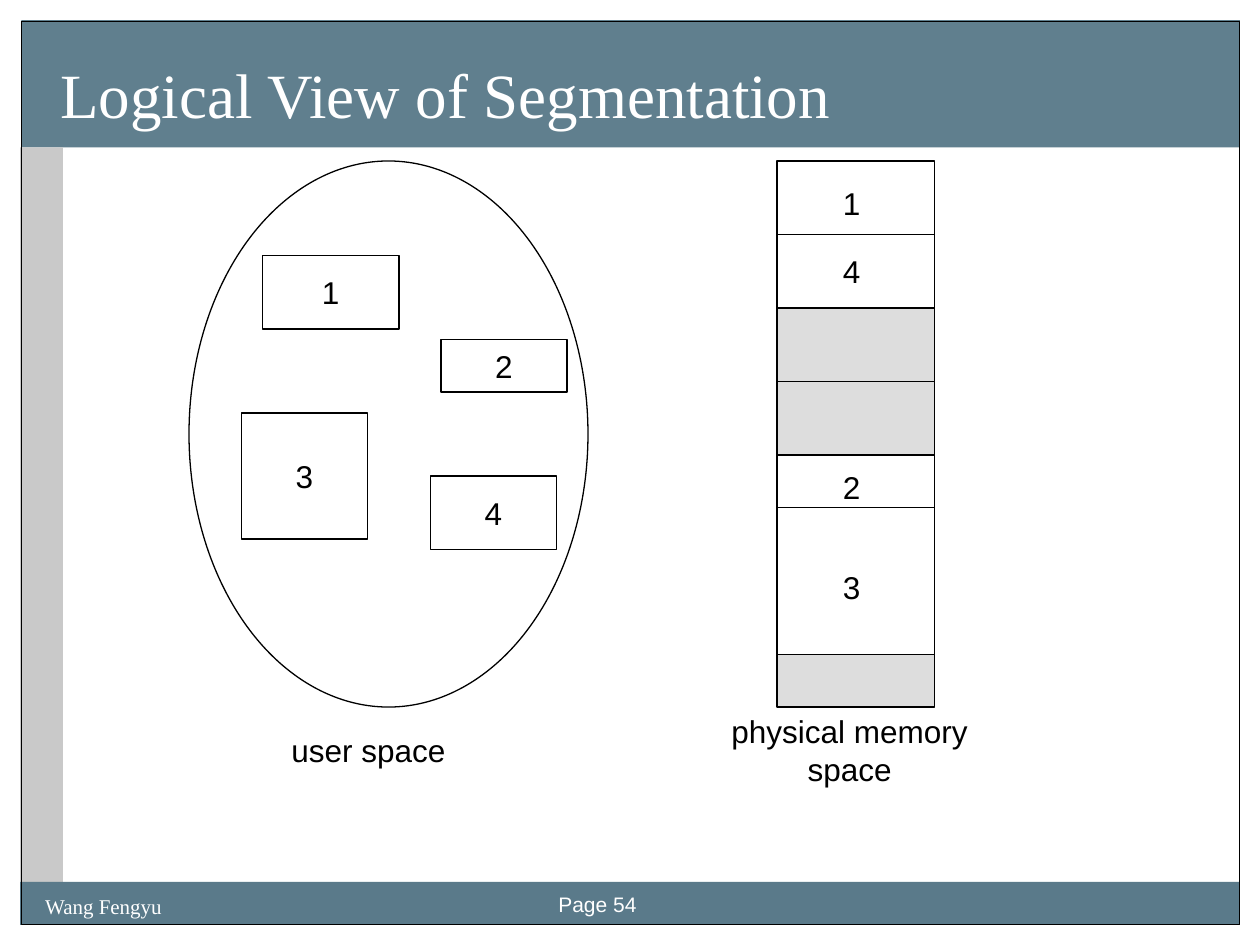
"""Build the slide that shows the logical view of segmentation."""
from dataclasses import dataclass
from itertools import groupby

from lxml.etree import SubElement
from pptx import Presentation
from pptx.dml.color import RGBColor
from pptx.enum.shapes import MSO_CONNECTOR, MSO_SHAPE
from pptx.enum.text import MSO_ANCHOR, MSO_AUTO_SIZE, PP_ALIGN
from pptx.oxml.ns import qn
from pptx.util import Pt


@dataclass(frozen=True)
class Theme:
    band: str = "3E6376"
    strip: str = "C9C9C9"
    used: str = "FFFFFF"
    other: str = "DDDDDD"
    ink: str = "000000"
    light: str = "FFFFFF"
    serif: str = "Times New Roman"
    sans: str = "Arial"
    title_size: float = 36
    label_size: float = 18
    footer_size: float = 12
    line_width: float = 0.75


THEME = Theme()

TITLE = "Logical View of Segmentation"
BANDS = [
    ((12.25, 11.5, 696.25, 72.7), THEME.band, 82),
    ((11.5, 84.2, 24.5, 419.8), THEME.strip, 100),
    ((11.5, 504, 697, 24.5), THEME.band, 85),
]
PAGE_FRAME = (12.25, 12.25, 696.25, 516.25)
FOOTERS = [
    ("Wang Fengyu", (18.75, 507, 120, 19.5), THEME.serif),
    ("Page 54", (312, 506, 108, 19.5), THEME.sans),
]
USER_SPACE = (108, 92, 228, 312)
USER_SEGMENTS = [
    ("1", (150, 146, 78, 42)),
    ("3", (138, 236, 72, 72)),
    ("2", (252, 194, 72, 30)),
    ("4", (246, 272, 72, 42)),
]
MEMORY_LEFT, MEMORY_TOP, MEMORY_WIDTH = 444, 92, 90
MEMORY_BLOCKS = [
    (42, THEME.used),
    (42, THEME.used),
    (42, THEME.other),
    (42, THEME.other),
    (30, THEME.used),
    (84, THEME.used),
    (30, THEME.other),
]
LABELS = [
    ("1", 486.5, 116, 24),
    ("4", 486.5, 155, 24),
    ("2", 486.5, 278, 24),
    ("3", 486.5, 335.5, 24),
    ("user space", 210.5, 428.5, 107),
    ("physical memory space", 485.5, 428.5, 202),
]
LABEL_HEIGHT = 29


def points(box):
    return [Pt(value) for value in box]


def write(frame, words, font, size, color, align):
    paragraph = frame.paragraphs[0]
    paragraph.alignment = align
    run = paragraph.add_run()
    run.text = words
    run.font.name = font
    run.font.size = Pt(size)
    run.font.color.rgb = RGBColor.from_string(color)


def write_label(frame, words):
    frame.word_wrap = False
    frame.vertical_anchor = MSO_ANCHOR.MIDDLE
    write(frame, words, THEME.sans, THEME.label_size, THEME.ink, PP_ALIGN.CENTER)


def outline(line):
    line.color.rgb = RGBColor.from_string(THEME.ink)
    line.width = Pt(THEME.line_width)


def add_figure(slide, box, fill=None, outlined=True, kind=MSO_SHAPE.RECTANGLE):
    figure = slide.shapes.add_shape(kind, *points(box))
    figure.shadow.inherit = False
    if fill:
        figure.fill.solid()
        figure.fill.fore_color.rgb = RGBColor.from_string(fill)
    else:
        figure.fill.background()
    if outlined:
        outline(figure.line)
    else:
        figure.line.fill.background()
    return figure


def add_divider(slide, y):
    ends = points((MEMORY_LEFT, y, MEMORY_LEFT + MEMORY_WIDTH, y))
    divider = slide.shapes.add_connector(MSO_CONNECTOR.STRAIGHT, *ends)
    outline(divider.line)
    SubElement(divider._element.spPr, qn("a:effectLst"))


def add_page(slide):
    for box, fill, opacity in BANDS:
        band = add_figure(slide, box, fill, outlined=False)
        color = band._element.spPr.find(".//" + qn("a:srgbClr"))
        SubElement(color, qn("a:alpha"), val=str(opacity * 1000))
    add_figure(slide, PAGE_FRAME)
    for words, box, font in FOOTERS:
        footer = slide.shapes.add_textbox(*points(box)).text_frame
        footer.word_wrap = True
        write(footer, words, font, THEME.footer_size, THEME.light, PP_ALIGN.LEFT)


def add_title(slide):
    title = slide.shapes.title
    slide.shapes._spTree.append(title._element)
    title.left, title.top, title.width, title.height = points((13, 12.25, 696, 72))
    frame = title.text_frame
    frame.auto_size = MSO_AUTO_SIZE.NONE
    frame.word_wrap = True
    frame.vertical_anchor = MSO_ANCHOR.BOTTOM
    frame.margin_left, frame.margin_top = points((21.6, 3.6))
    frame.margin_right, frame.margin_bottom = points((7.2, 9.36))
    write(frame, TITLE, THEME.serif, THEME.title_size, THEME.light, PP_ALIGN.LEFT)


def add_user_space(slide):
    add_figure(slide, USER_SPACE, THEME.used, kind=MSO_SHAPE.OVAL)
    for words, box in USER_SEGMENTS:
        write_label(add_figure(slide, box, THEME.used).text_frame, words)


def add_memory(slide):
    y = MEMORY_TOP
    for fill, blocks in groupby(MEMORY_BLOCKS, key=lambda block: block[1]):
        heights = [height for height, _ in blocks]
        add_figure(slide, (MEMORY_LEFT, y, MEMORY_WIDTH, sum(heights)), fill)
        for height in heights[:-1]:
            add_divider(slide, y + height)
        y += sum(heights)


def add_labels(slide):
    for words, center, middle, width in LABELS:
        box = (center - width / 2, middle - LABEL_HEIGHT / 2, width, LABEL_HEIGHT)
        write_label(slide.shapes.add_textbox(*points(box)).text_frame, words)


def main():
    deck = Presentation()
    deck.slide_width, deck.slide_height = points((720, 540))
    slide = deck.slides.add_slide(deck.slide_layouts[5])
    for add_part in (add_page, add_title, add_user_space, add_memory, add_labels):
        add_part(slide)
    deck.save("out.pptx")


if __name__ == "__main__":
    main()
